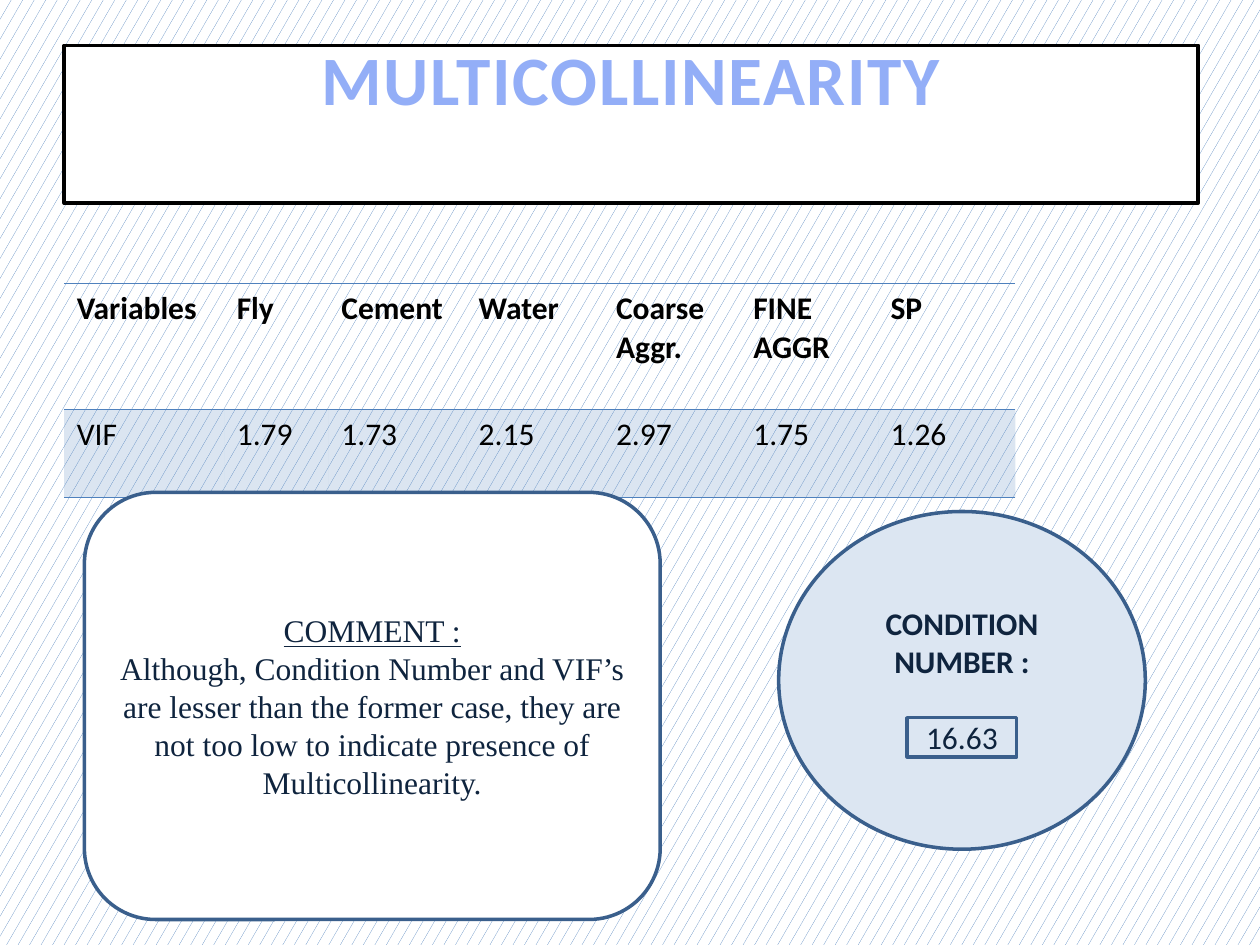
from lxml import etree
from pptx import Presentation
from pptx.dml.color import RGBColor
from pptx.enum.dml import MSO_PATTERN
from pptx.enum.shapes import MSO_SHAPE as Preset
from pptx.enum.text import MSO_ANCHOR as Anchor, MSO_AUTO_SIZE as AutoSize, PP_ALIGN as Align
from pptx.oxml.ns import qn
from pptx.util import Inches, Pt

BLUE, EDGE, PALE, NAVY = "4F81BD", "3A5F8C", "DCE6F2", "0F243E"
WHITE, BLACK, TITLE_BLUE = "FFFFFF", "000000", "93AEF7"
SANS, SERIF = "Calibri", "Times New Roman"
NO_STYLE = "{2D5ABB26-0587-4C30-8999-92F81FD0307C}"

HEADING = "MULTICOLLINEARITY"
VIF_ROWS = [
    (["Variables"], ["Fly"], ["Cement"], ["Water"], ["Coarse", "Aggr."], ["FINE AGGR"], ["SP"]),
    (["VIF"], ["1.79"], ["1.73"], ["2.15"], ["2.97"], ["1.75"], ["1.26"]),
]
# Each paragraph: text, font settings, points of space before
CONDITION = [
    ("CONDITION NUMBER :", {"bold": True}, 0),
    ("16.63", {}, 22),
]
COMMENT = [
    ("COMMENT :", {"underline": True}, 0),
    ("Although, Condition Number and VIF’s ", {}, 0),
    ("are lesser than the former case, they are not too low to indicate "
     "presence of Multicollinearity.", {}, 0),
]

# Left, top, width, height in percent of the slide
TITLE_BOX = (5.1, 4.8, 90, 16.7)
TABLE_BOX = (5.1, 30, 75.6, 22.67)
CIRCLE_BOX = (61.8, 54.13, 29.1, 35.73)
VALUE_BOX = (72, 75.95, 8.7, 4.15)
COMMENT_BOX = (6.7, 52.1, 45.7, 45.2)
COLUMN_SHARES = [12.7, 8.3] + [10.9] * 5
ROW_SHARES = [13.33, 9.33]

prs = Presentation()
prs.slide_width, prs.slide_height = Inches(10), Inches(7.5)
slide = prs.slides.add_slide(prs.slide_layouts[5])


def across(percent):
    return int(prs.slide_width * percent / 100)


def down(percent):
    return int(prs.slide_height * percent / 100)


def place(box):
    left, top, width, height = box
    return across(left), down(top), across(width), down(height)


def color(hex_code):
    return RGBColor.from_string(hex_code)


def paint(shape, fill, line):
    if fill:
        shape.fill.solid()
        shape.fill.fore_color.rgb = color(fill)
    else:
        shape.fill.background()
    shape.line.color.rgb = color(line)
    shape.line.width = Pt(2)


def add_run(paragraph, text, face, ink, size=18, bold=False, underline=False):
    run = paragraph.add_run()
    run.text = text
    font = run.font
    font.name, font.size, font.color.rgb = face, Pt(size), color(ink)
    font.bold, font.underline = bold, underline
    return run


def add_panel(preset, box, fill, paragraphs=(), face=SANS):
    panel = slide.shapes.add_shape(preset, *place(box))
    panel.shadow.inherit = False
    paint(panel, fill, EDGE)
    frame = panel.text_frame
    frame.word_wrap, frame.vertical_anchor = True, Anchor.MIDDLE
    for i, (text, style, gap) in enumerate(paragraphs):
        paragraph = frame.add_paragraph() if i else frame.paragraphs[0]
        paragraph.alignment = Align.CENTER
        if gap:
            paragraph.space_before = Pt(gap)
        add_run(paragraph, text, face, NAVY, **style)


def rule_cell(cell):
    """Draw 1 pt blue rules above and below a cell."""
    props = cell._tc.get_or_add_tcPr()
    for side in ("a:lnB", "a:lnT"):
        rule = etree.Element(qn(side), w=str(Pt(1)))
        solid = etree.SubElement(rule, qn("a:solidFill"))
        etree.SubElement(solid, qn("a:srgbClr"), val=BLUE)
        props.insert(0, rule)


def tint_cell(cell):
    cell.fill.solid()
    cell.fill.fore_color.rgb = color(BLUE)
    tint = cell._tc.tcPr.find(".//" + qn("a:srgbClr"))
    etree.SubElement(tint, qn("a:alpha"), val="20000")


def add_vif_table():
    table = slide.shapes.add_table(len(VIF_ROWS), len(COLUMN_SHARES), *place(TABLE_BOX)).table
    table._tbl.tblPr.find(qn("a:tableStyleId")).text = NO_STYLE
    table.horz_banding = False
    for column, share in zip(table.columns, COLUMN_SHARES):
        column.width = across(share)
    for r, (row, share) in enumerate(zip(table.rows, ROW_SHARES)):
        row.height = down(share)
        for cell, lines in zip(row.cells, VIF_ROWS[r]):
            for i, text in enumerate(lines):
                frame = cell.text_frame
                paragraph = frame.add_paragraph() if i else frame.paragraphs[0]
                add_run(paragraph, text, SANS, BLACK, bold=r == 0)
            if r:
                tint_cell(cell)
            else:
                cell.fill.background()
            rule_cell(cell)


def set_title():
    title = slide.shapes.title
    title.left, title.top, title.width, title.height = place(TITLE_BOX)
    paint(title, WHITE, BLACK)
    frame = title.text_frame
    frame.auto_size, frame.vertical_anchor = AutoSize.NONE, Anchor.TOP
    frame.word_wrap, frame.margin_top = True, 0
    paragraph = frame.paragraphs[0]
    paragraph.alignment, paragraph.line_spacing = Align.CENTER, 0.9
    run = add_run(paragraph, HEADING, SANS, TITLE_BLUE, size=39.6, bold=True)
    run._r.get_or_add_rPr().set("spc", "100")


backdrop = slide.background.fill
backdrop.patterned()
backdrop.pattern = MSO_PATTERN.SMALL_CONFETTI
backdrop.fore_color.rgb, backdrop.back_color.rgb = color(BLUE), color(WHITE)

set_title()
add_vif_table()
add_panel(Preset.OVAL, CIRCLE_BOX, PALE, CONDITION)
add_panel(Preset.RECTANGLE, VALUE_BOX, None)
add_panel(Preset.ROUNDED_RECTANGLE, COMMENT_BOX, WHITE, COMMENT, SERIF)

prs.save("out.pptx")
